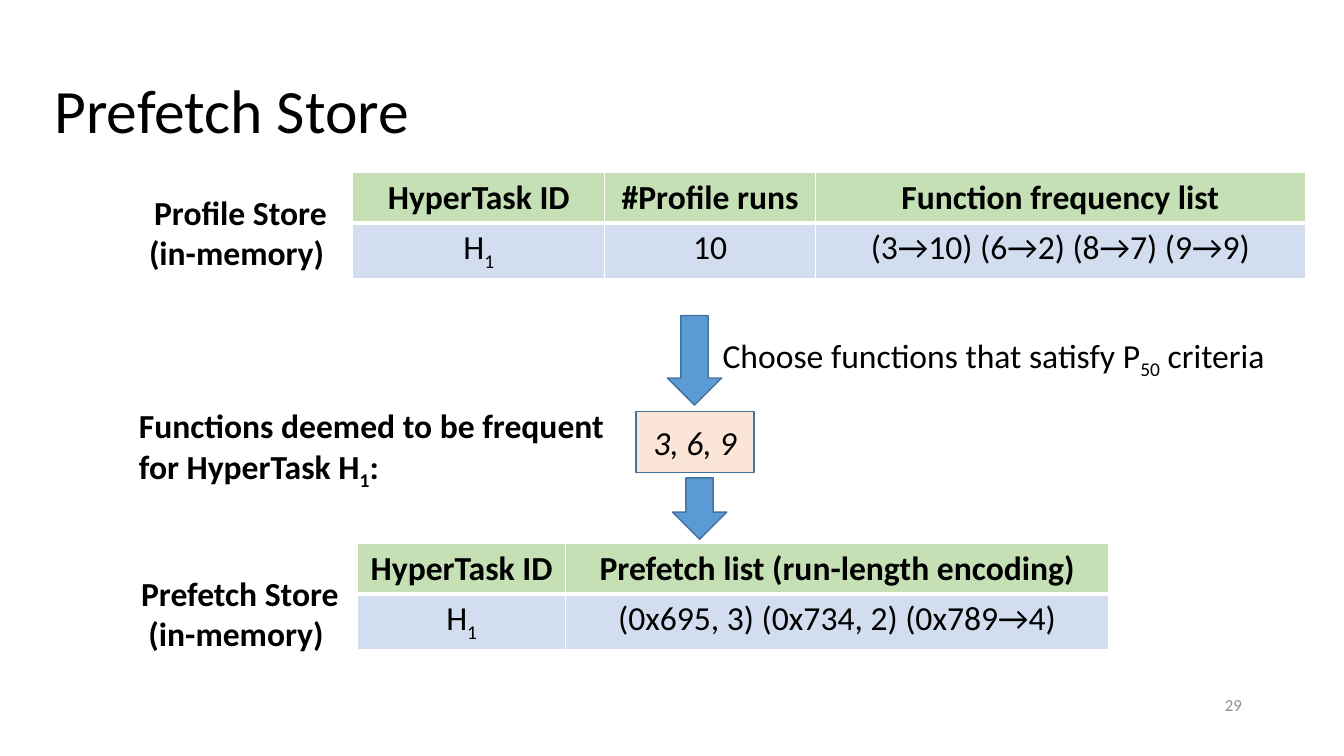
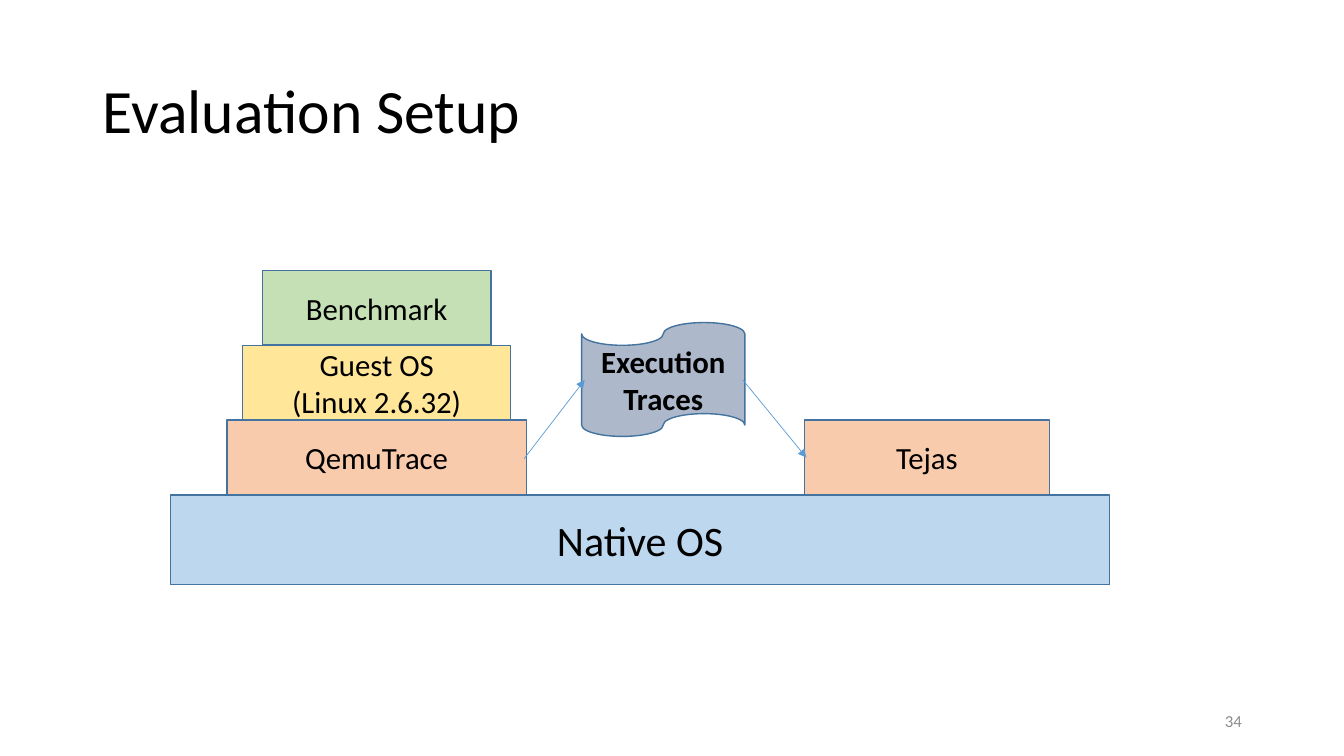
from lxml import etree
from pptx import Presentation
from pptx.dml.color import RGBColor
from pptx.enum.shapes import MSO_CONNECTOR, MSO_SHAPE
from pptx.enum.text import MSO_ANCHOR, PP_ALIGN
from pptx.oxml import parse_xml
from pptx.oxml.ns import nsdecls, qn
from pptx.util import Inches, Pt

LEFT, CENTER, RIGHT = PP_ALIGN.LEFT, PP_ALIGN.CENTER, PP_ALIGN.RIGHT
TOP, MIDDLE = MSO_ANCHOR.TOP, MSO_ANCHOR.MIDDLE
RECT, DOWN_ARROW = MSO_SHAPE.RECTANGLE, MSO_SHAPE.DOWN_ARROW
TAPE = MSO_SHAPE.FLOWCHART_PUNCHED_TAPE
STRAIGHT = MSO_CONNECTOR.STRAIGHT


class Theme:
    font = "Calibri"
    title, base, body, block, number = 44, 30, 24, 22, 12
    text, muted, white = "000000", "8C8C8C", "FFFFFF"
    blue, outline = "5B9BD5", "43739E"
    green, row_blue, peach = "C5E0B4", "D2DEEF", "FBE5D6"
    sky, orange, yellow, slate = "BDD7EE", "F8CBAD", "FFE699", "ADB9CA"


prs = Presentation()
prs.slide_width, prs.slide_height = Inches(13.33), Inches(7.5)
COL, ROW = prs.slide_width / 40, prs.slide_height / 30


def write(tf, lines, size, align=LEFT, bold=False, italic=False, color=Theme.text):
    """Fill a text frame; a part of a line between underscores is a subscript."""
    tf.word_wrap = True
    for i, line in enumerate(lines):
        p = tf.add_paragraph() if i else tf.paragraphs[0]
        p.alignment = align
        for j, part in enumerate(line.split("_")):
            r = p.add_run()
            r.text = part
            if j % 2:
                r.font._element.set("baseline", "-25000")
        p.font.name, p.font.size = Theme.font, Pt(size)
        p.font.bold, p.font.italic = bold, italic
        p.font.color.rgb = RGBColor.from_string(color)


def add_box(s, box, lines=(), kind=None, fill=None, size=Theme.body, anchor=TOP, **style):
    """Add a shape of the given kind, or a plain text box; box is in grid units."""
    x, y, w, h = box
    place = [int(v) for v in (x * COL, y * ROW, w * COL, h * ROW)]
    if kind is None:
        sp = s.shapes.add_textbox(*place)
    else:
        sp = s.shapes.add_shape(kind, *place)
        sp.shadow.inherit = False
        sp.fill.solid()
        sp.fill.fore_color.rgb = RGBColor.from_string(fill)
        sp.line.color.rgb = RGBColor.from_string(Theme.outline)
        sp.line.width = Pt(1)
        anchor, style = MIDDLE, {"align": CENTER, **style}
    sp.text_frame.vertical_anchor = anchor
    write(sp.text_frame, lines, size, **style)


# Title and page number of each slide
slides = []
for title, title_x, title_w, number, number_y in (
    ("Prefetch Store", 1.32, 36.93, "29", 27.16),
    ("Evaluation Setup", 2.76, 34.5, "34", 27.8),
):
    s = prs.slides.add_slide(prs.slide_layouts[5])
    ph = s.shapes.title
    ph.left, ph.top = int(title_x * COL), int(1.6 * ROW)
    ph.width, ph.height = int(title_w * COL), int(5.8 * ROW)
    ph.text_frame.vertical_anchor = MIDDLE
    write(ph.text_frame, [title], Theme.title)
    ph.text_frame.paragraphs[0].line_spacing = 0.9
    add_box(s, (28.26, number_y, 9, 1.6), [number], size=Theme.number,
            anchor=MIDDLE, align=RIGHT, color=Theme.muted)
    slides.append(s)
store, setup = slides

# Prefetch Store: two tables joined by a selection step
for x, y, widths, rows in (
    (10.5, 6.84, (7.5, 6.27, 14.58),
     (("HyperTask ID", "#Profile runs", "Function frequency list"),
      ("H_1_", "10", "(3→10) (6→2) (8→7) (9→9)"))),
    (10.65, 21.56, (6.18, 16.17),
     (("HyperTask ID", "Prefetch list (run-length encoding)"),
      ("H_1_", "(0x695, 3) (0x734, 2) (0x789→4)"))),
):
    table = store.shapes.add_table(
        len(rows), len(widths), int(x * COL), int(y * ROW),
        int(sum(widths) * COL), int(4 * ROW)).table
    for column, width in zip(table.columns, widths):
        column.width = int(width * COL)
    for i, row in enumerate(rows):
        header = i == 0
        for j, text in enumerate(row):
            cell = table.cell(i, j)
            write(cell.text_frame, [text], Theme.body, CENTER, bold=header)
            tc_pr = cell._tc.get_or_add_tcPr()
            for side in "LRTB":
                thick = side == ("B" if header else "T")
                tc_pr.append(parse_xml(
                    f'<a:ln{side} {nsdecls("a")} w="{Pt(3 if thick else 1)}"><a:solidFill>'
                    f'<a:srgbClr val="{Theme.white}"/></a:solidFill></a:ln{side}>'))
            cell.fill.solid()
            cell.fill.fore_color.rgb = RGBColor.from_string(
                Theme.green if header else Theme.row_blue)

add_box(store, (19.86, 12.52, 1.62, 3.56), kind=DOWN_ARROW, fill=Theme.blue)
add_box(store, (20.01, 18.96, 1.62, 2.44), kind=DOWN_ARROW, fill=Theme.blue)
add_box(store, (18.93, 16.32, 3.51, 2.44), ["3, 6, 9"], RECT, Theme.peach, italic=True)
add_box(store, (21.21, 13.08, 16.98, 2), ["Choose functions that satisfy P_50_ criteria"])
add_box(store, (3.84, 15.88, 14.58, 3.64),
        ["Functions deemed to be frequent", "for HyperTask H_1_:"], bold=True)
for name, box in (("Profile Store", (4.11, 7.4, 6.09, 3.64)),
                  ("Prefetch Store", (3.87, 22.52, 6.54, 3.64))):
    add_box(store, box, [name, "(in-memory) "], align=CENTER, bold=True)

# Evaluation Setup: layers stacked on the native system
BASE_Y, LAYER_H, STACK_X = 19.64, 2.97, 11.21
add_box(setup, (5.07, BASE_Y, 27.96, 3.56), ["Native OS"], RECT, Theme.sky, Theme.base)
for level, (width, fill, lines) in enumerate((
    (8.91, Theme.orange, ["QemuTrace"]),
    (7.98, Theme.yellow, ["Guest OS", "(Linux 2.6.32)"]),
    (6.81, Theme.green, ["Benchmark"]),
), start=1):
    add_box(setup, (STACK_X - width / 2, BASE_Y - level * LAYER_H, width, LAYER_H),
            lines, RECT, fill, Theme.block)
add_box(setup, (17.31, 12.8, 4.86, 4.52), ["Execution", "Traces"],
        TAPE, Theme.slate, Theme.block, bold=True)
add_box(setup, (23.94, BASE_Y - LAYER_H, 7.29, LAYER_H), ["Tejas"],
        RECT, Theme.orange, Theme.block)

for x1, y1, x2, y2 in ((15.6, 18.2, 17.4, 15.08), (22.11, 15.08, 24, 18.16)):
    line = setup.shapes.add_connector(
        STRAIGHT, int(x1 * COL), int(y1 * ROW), int(x2 * COL), int(y2 * ROW))
    line.line.color.rgb = RGBColor.from_string(Theme.blue)
    line.line.width = Pt(0.5)
    etree.SubElement(line.line._get_or_add_ln(), qn("a:tailEnd"), type="triangle")
    etree.SubElement(line._element.spPr, qn("a:effectLst"))

prs.save("out.pptx")
